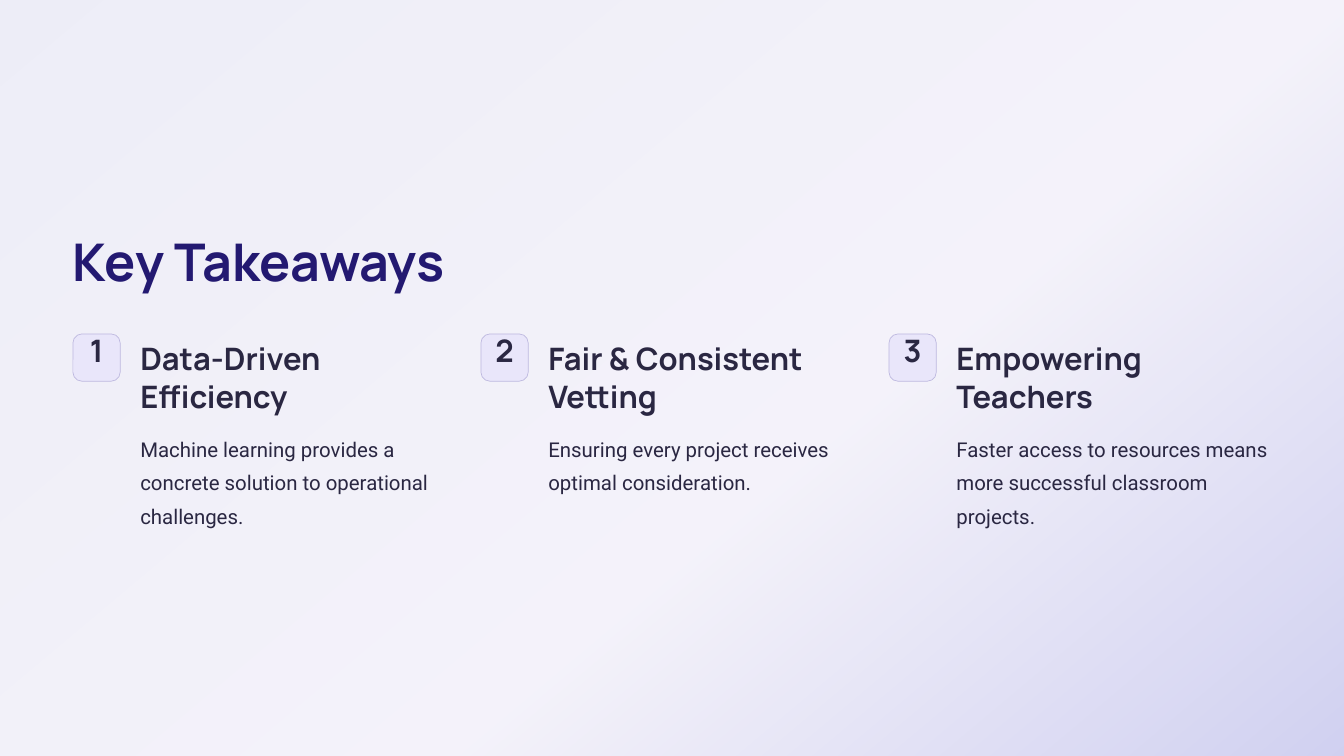
from copy import deepcopy

from lxml import etree
from pptx import Presentation
from pptx.dml.color import RGBColor
from pptx.enum.shapes import MSO_SHAPE
from pptx.enum.text import PP_ALIGN
from pptx.oxml.ns import qn
from pptx.util import Pt

RECT = MSO_SHAPE.RECTANGLE
ROUND = MSO_SHAPE.ROUNDED_RECTANGLE
LEFT = PP_ALIGN.LEFT
CENTER = PP_ALIGN.CENTER

NAVY = RGBColor(0x23, 0x19, 0x71)
INK = RGBColor(0x2A, 0x27, 0x42)
LILAC = RGBColor(0xE9, 0xE6, 0xFA)
EDGE = RGBColor(0xBD, 0xB8, 0xDF)
WHITE = RGBColor(0xFA, 0xFA, 0xFA)
STOPS = [
    (0, RGBColor(0xCA, 0xCA, 0xF2)),
    (0.6, RGBColor(0xE4, 0xDD, 0xFB)),
    (1, RGBColor(0x56, 0x56, 0xD6)),
]

HEAD = "Manrope"
BODY = "Roboto"
WIDTH, HEIGHT = 1152, 648
MARGIN = 62.5
STEP = 349.75
BADGE = 40.5
INDENT = 57.75
COLUMN = 269.5

POINTS = [
    ("Data-Driven Efficiency",
     "Machine learning provides a concrete solution to operational challenges."),
    ("Fair & Consistent Vetting",
     "Ensuring every project receives optimal consideration."),
    ("Empowering Teachers",
     "Faster access to resources means more successful classroom projects."),
]


def add_back(slide):
    fill = slide.background.fill
    fill.gradient()
    fill.gradient_angle = 310
    stops = slide.element.xpath(".//a:gsLst")[0]
    stops.append(deepcopy(stops[0]))
    for stop, (place, color) in zip(fill.gradient_stops, STOPS):
        stop.position = place
        stop.color.rgb = color


def add_panel(slide, kind, left, top, width, height, color):
    panel = slide.shapes.add_shape(
        kind, Pt(left), Pt(top), Pt(width), Pt(height))
    panel.shadow.inherit = False
    panel.fill.solid()
    panel.fill.fore_color.rgb = color
    panel.line.fill.background()
    return panel


def add_veil(slide):
    veil = add_panel(slide, RECT, 0, 0, WIDTH, HEIGHT, WHITE)
    color = veil.element.spPr.find(qn("a:solidFill"))[0]
    etree.SubElement(color, qn("a:alpha"), val="75000")


def add_badge(slide, left):
    badge = add_panel(slide, ROUND, left, 286.25, BADGE, BADGE, LILAC)
    badge.adjustments[0] = 0.19
    badge.line.color.rgb = EDGE
    badge.line.width = Pt(0.6)


def add_text(slide, text, left, top, width, height, size, pitch,
             face=HEAD, color=INK, bold=True, align=LEFT):
    box = slide.shapes.add_textbox(
        Pt(left), Pt(top), Pt(width), Pt(height))
    frame = box.text_frame
    frame.word_wrap = True
    frame.margin_left = frame.margin_right = 0
    frame.margin_top = frame.margin_bottom = 0
    line = frame.paragraphs[0]
    line.text = text
    line.alignment = align
    line.line_spacing = Pt(pitch)
    line.font.name = face
    line.font.size = Pt(size)
    line.font.bold = bold
    line.font.color.rgb = color


def add_point(slide, index, title, detail):
    left = MARGIN + index * STEP
    inner = left + INDENT
    add_badge(slide, left)
    add_text(slide, str(index + 1), left + 6.75, 289.5, 27, 33.5,
             26.5, 26.5, align=CENTER)
    add_text(slide, title, inner, 289.5, COLUMN, 67, 26.5, 33)
    add_text(slide, detail, inner, 367.25, COLUMN, 85.5, 17.5, 28.5,
             face=BODY, bold=False)


def main():
    deck = Presentation()
    deck.slide_width = Pt(WIDTH)
    deck.slide_height = Pt(HEIGHT)
    slide = deck.slides.add_slide(deck.slide_layouts[6])
    add_back(slide)
    add_veil(slide)
    add_text(slide, "Key Takeaways", MARGIN, 195, 446.5, 56,
             44.5, 55.5, color=NAVY)
    for index, (title, detail) in enumerate(POINTS):
        add_point(slide, index, title, detail)
    deck.save("out.pptx")


if __name__ == "__main__":
    main()
